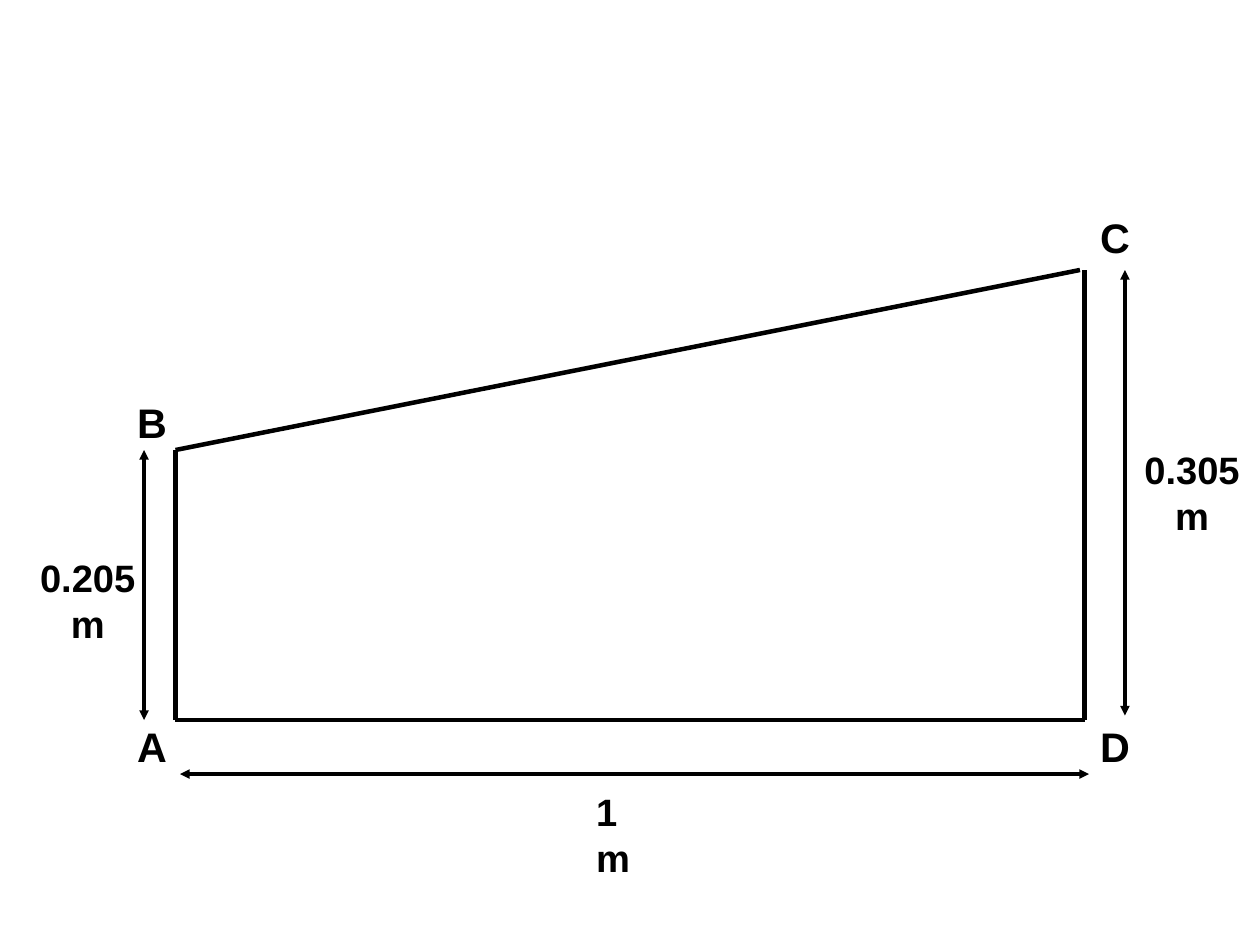
from lxml import etree
from pptx import Presentation
from pptx.dml.color import RGBColor
from pptx.enum.shapes import MSO_CONNECTOR
from pptx.enum.text import MSO_AUTO_SIZE, PP_ALIGN
from pptx.oxml.ns import qn
from pptx.util import Cm, Pt

STRAIGHT = MSO_CONNECTOR.STRAIGHT
FIT_SHAPE = MSO_AUTO_SIZE.SHAPE_TO_FIT_TEXT
LEFT, CENTER = PP_ALIGN.LEFT, PP_ALIGN.CENTER
BLACK = RGBColor(0, 0, 0)
COLUMNS, ROWS = 28, 21
CELL = Cm(1)


def grid(*lengths):
    return [int(length * CELL) for length in lengths]


def draw_line(slide, start, end, weight):
    line = slide.shapes.add_connector(STRAIGHT, *grid(*start, *end))
    line.line.color.rgb = BLACK
    line.line.width = Pt(weight)
    etree.SubElement(line._element.spPr, qn("a:effectLst"))
    return line


def draw_dimension(slide, start, end):
    dimension = draw_line(slide, start, end, 0)
    outline = dimension.line._get_or_add_ln()
    for arrowhead in ("a:headEnd", "a:tailEnd"):
        etree.SubElement(outline, qn(arrowhead), type="triangle")


def write_label(slide, box, text, size, alignment=LEFT):
    frame = slide.shapes.add_textbox(*grid(*box)).text_frame
    frame.word_wrap = False
    frame.auto_size = FIT_SHAPE
    frame.text = text
    for paragraph in frame.paragraphs:
        paragraph.alignment = alignment
        for run in paragraph.runs:
            run.font.name = "Arial"
            run.font.size = Pt(size)
            run.font.bold = True
            run.font.color.rgb = BLACK


def draw_trapezium(slide, left, top, width, height):
    right, bottom = left + width, top + height
    shoulder = top + 0.4 * height
    a, b, d = (left, bottom), (left, shoulder), (right, bottom)
    sides = [(a, d), (a, b), (d, (right, top)), (b, (right - 0.1, top))]
    for start, end in sides:
        draw_line(slide, start, end, 2.83)

    corners = [
        ("A", left - 1.1, bottom - 0.1),
        ("B", left - 1.1, shoulder - 1.3),
        ("D", right + 0.1, bottom - 0.1),
        ("C", right + 0.1, top - 1.4),
    ]
    for letter, x, y in corners:
        write_label(slide, (x, y, 1.16, 1.27), letter, 26)


def draw_measurements(slide, left, top, width, height):
    right, bottom = left + width, top + height
    shoulder = top + 0.4 * height
    dimensions = [
        ((left - 0.7, shoulder), (left - 0.7, bottom)),
        ((right + 0.9, top), (right + 0.9, bottom - 0.1)),
        ((left + 0.1, bottom + 1.2), (right + 0.1, bottom + 1.2)),
    ]
    for start, end in dimensions:
        draw_dimension(slide, start, end)

    write_label(slide, (left + 9.1, bottom + 1.4, 1.95, 1.2), "1 m", 24)
    heights = [
        ("0.205\nm", left - 3.26, shoulder + 2.2),
        ("0.305\nm", right + 1.08, top + 3.8),
    ]
    for text, x, y in heights:
        write_label(slide, (x, y, 2.62, 2.15), text, 24, CENTER)


def main():
    presentation = Presentation()
    presentation.slide_width, presentation.slide_height = grid(COLUMNS, ROWS)
    slide = presentation.slides.add_slide(presentation.slide_layouts[6])
    figure = (3.9, 6, 20.2, 10)
    draw_trapezium(slide, *figure)
    draw_measurements(slide, *figure)
    presentation.save("out.pptx")


if __name__ == "__main__":
    main()
